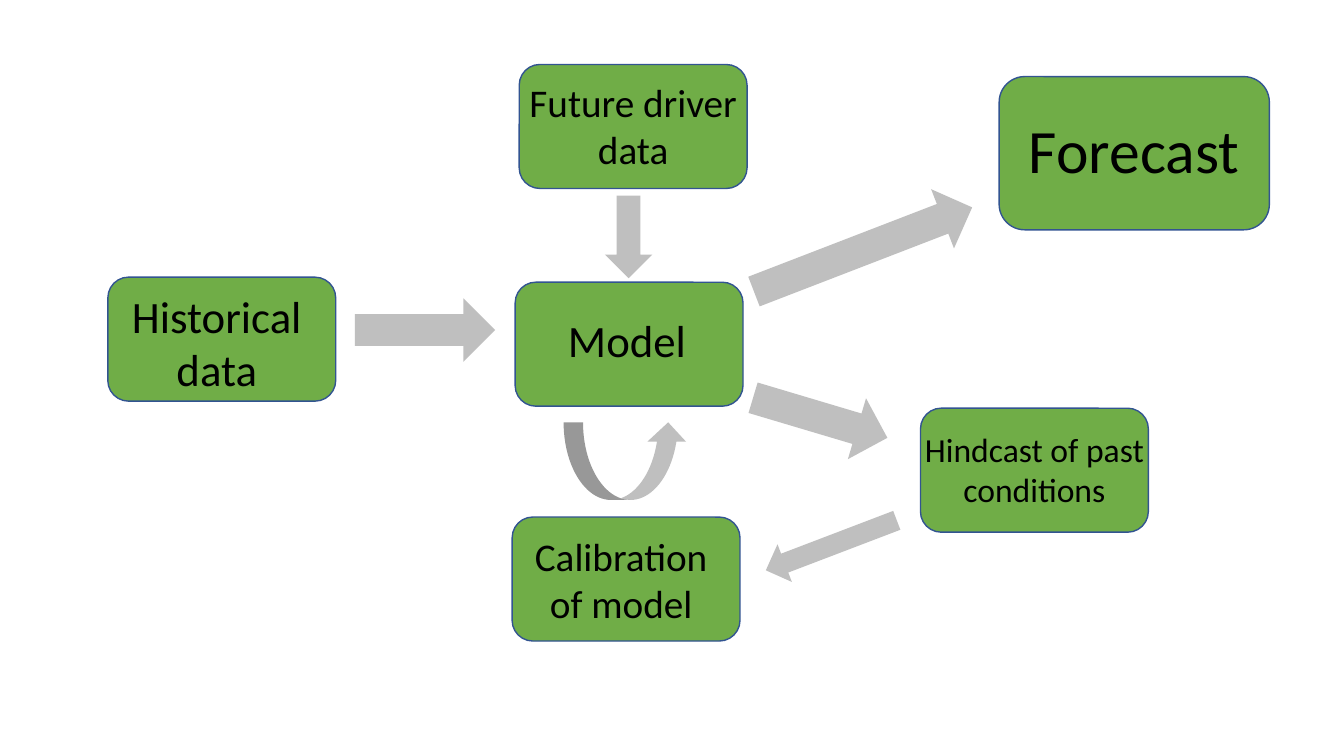
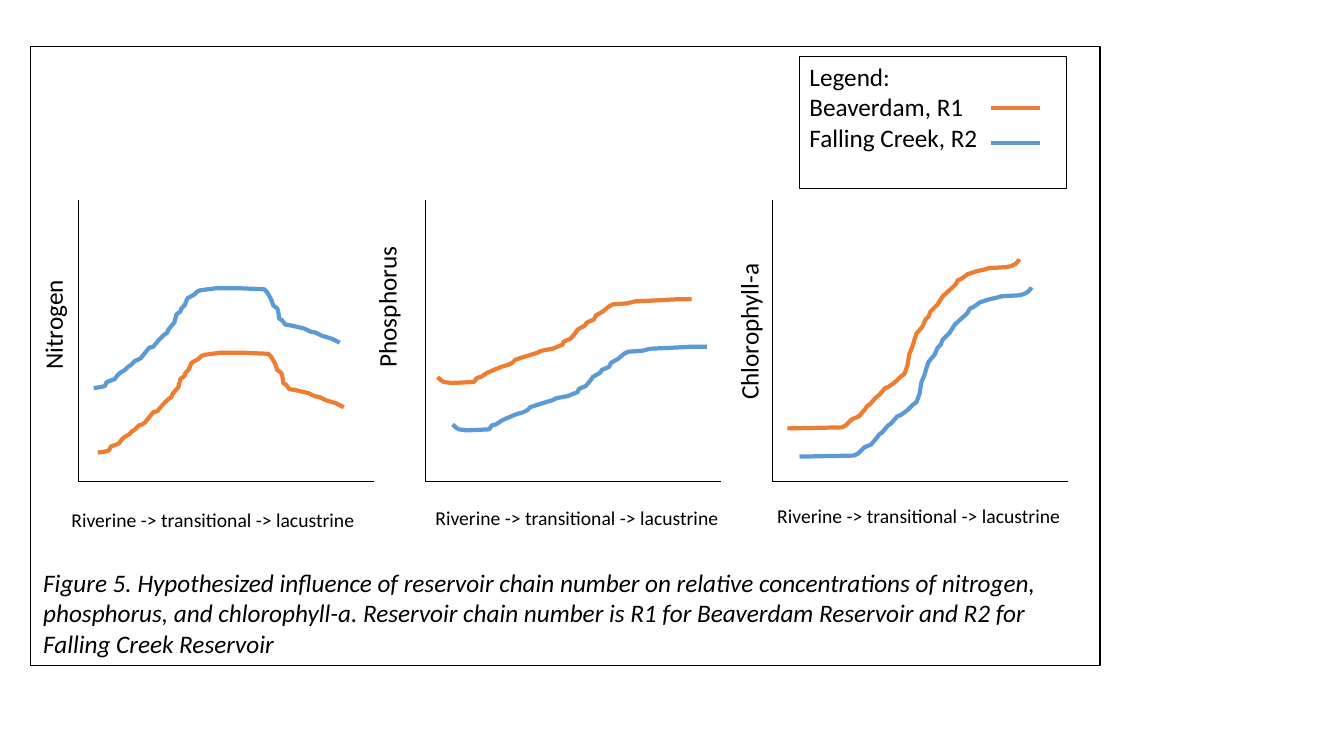
from lxml.etree import SubElement
from pptx import Presentation
from pptx.dml.color import RGBColor
from pptx.enum.shapes import MSO_CONNECTOR, MSO_SHAPE
from pptx.enum.text import MSO_ANCHOR, PP_ALIGN
from pptx.oxml.ns import qn
from pptx.util import Pt

# Shared look; one px is a hundredth of an inch
SCALE = 9144
FONT = "Calibri"
BLACK, WHITE = "000000", "FFFFFF"
GREEN, BOX_EDGE, ARROW_GREY = "70AD47", "325491", "BFBFBF"
BEAVERDAM, FALLING_CREEK = "ED7D31", "5B9BD5"

# Curve outlines, measured from the top left of each curve
NITROGEN = [
    (0, 99), (7, 98), (11, 97), (13, 93), (21, 90), (23, 87), (26, 84), (31, 81),
    (34, 78), (37, 76), (41, 72), (44, 71), (47, 69), (55, 59), (59, 58), (64, 52),
    (67, 49), (70, 46), (73, 44), (74, 41), (80, 34), (82, 26), (86, 23), (87, 20),
    (90, 17), (93, 10), (100, 6), (103, 3), (106, 2), (121, 0), (145, 0), (169, 1),
    (172, 4), (176, 11), (178, 17), (182, 20), (183, 23), (184, 30), (187, 32),
    (190, 36), (196, 37), (209, 40), (215, 43), (220, 44), (226, 47), (236, 50),
    (240, 52), (244, 54),
]
PHOSPHORUS = [
    (0, 77), (3, 80), (6, 82), (14, 83), (36, 82), (39, 78), (43, 77), (49, 73),
    (56, 70), (63, 67), (70, 65), (74, 63), (77, 60), (86, 57), (99, 53), (103, 51),
    (114, 49), (124, 45), (125, 42), (132, 39), (137, 33), (139, 30), (146, 26),
    (148, 23), (155, 20), (157, 16), (164, 12), (170, 7), (174, 5), (188, 4),
    (196, 2), (218, 1), (236, 0), (252, 0),
]
CHLOROPHYLL = [
    (0, 168), (54, 167), (58, 165), (64, 159), (71, 156), (77, 149), (79, 146),
    (82, 144), (88, 137), (91, 135), (97, 128), (100, 127), (107, 122), (112, 117),
    (116, 114), (119, 106), (121, 94), (124, 87), (126, 80), (128, 74), (134, 67),
    (137, 60), (140, 57), (142, 52), (149, 45), (154, 37), (164, 28), (167, 25),
    (169, 21), (172, 20), (179, 15), (188, 12), (197, 10), (200, 9), (217, 8),
    (222, 7), (226, 5), (229, 2), (230, 0),
]


def px(*lengths):
    return [round(length * SCALE) for length in lengths]


def color(value):
    return RGBColor.from_string(value)


def style_shape(shape, fill=None, line=None, width=1):
    shape.shadow.inherit = False
    if fill:
        shape.fill.solid()
        shape.fill.fore_color.rgb = color(fill)
    else:
        shape.fill.background()
    if line:
        shape.line.color.rgb = color(line)
        shape.line.width = Pt(width)
    else:
        shape.line.fill.background()


def add_preset(slide, kind, box, fill=None, line=None, width=1, rotation=0):
    shape = slide.shapes.add_shape(kind, *px(*box))
    style_shape(shape, fill, line, width)
    shape.rotation = rotation
    return shape


def add_run(paragraph, text, size, italic=False):
    run = paragraph.add_run()
    run.text = text
    run.font.name = FONT
    run.font.size = Pt(size)
    run.font.italic = italic
    run.font.color.rgb = color(BLACK)


def add_label(slide, box, text, size, italic=False, rotation=0):
    label = slide.shapes.add_textbox(*px(*box))
    label.rotation = rotation
    label.text_frame.word_wrap = True
    add_run(label.text_frame.paragraphs[0], text, size, italic)


def add_line(slide, start, end, line, width):
    connector = slide.shapes.add_connector(MSO_CONNECTOR.STRAIGHT, *px(*start, *end))
    connector.line.color.rgb = color(line)
    connector.line.width = Pt(width)
    SubElement(connector._element.spPr, qn("a:effectLst"))


def add_curve(slide, left, top, points, line):
    placed = [(left + x, top + y) for x, y in points]
    builder = slide.shapes.build_freeform(*placed[0], scale=SCALE)
    builder.add_line_segments(placed[1:], close=False)
    style_shape(builder.convert_to_shape(), line=line, width=3)


def add_step(slide, box, lines, size, shift=(0, 0)):
    """Green box whose centred text is nudged by shift."""
    step = add_preset(slide, MSO_SHAPE.ROUNDED_RECTANGLE, box, GREEN, BOX_EDGE)
    frame = step.text_frame
    frame.word_wrap = False
    frame.vertical_anchor = MSO_ANCHOR.MIDDLE
    across, down = shift
    frame.margin_left, frame.margin_right = px(max(0, 2 * across), max(0, -2 * across))
    frame.margin_top, frame.margin_bottom = px(max(0, 2 * down), max(0, -2 * down))
    paragraph = frame.paragraphs[0]
    paragraph.alignment = PP_ALIGN.CENTER
    for index, line in enumerate(lines):
        if index:
            paragraph.add_line_break()
        add_run(paragraph, line, size)


def add_panel(slide, left, top, name, name_at, caption_at, points, curves):
    """Axes, two labels and two curves, all measured from the panel's top left."""
    width, height = 293, 280
    corner = (left, top + height)
    add_line(slide, (left, top), corner, BLACK, 0.5)
    add_line(slide, corner, (left + width, top + height), BLACK, 0.5)
    name_x, name_y = name_at
    add_label(slide, (left + name_x, top + name_y, 287, 40), name, 18, rotation=270)
    caption_x, caption_y = caption_at
    add_label(slide, (left + caption_x, top + caption_y, 311, 34),
              "Riverine -> transitional -> lacustrine", 14)
    for line, (x, y) in curves.items():
        add_curve(slide, left + x, top + y, points, line)


def add_legend(slide, left, top):
    legend = add_preset(slide, MSO_SHAPE.RECTANGLE, (left, top, 265, 131),
                        line=BLACK, width=0.75)
    frame = legend.text_frame
    frame.word_wrap = True
    frame.vertical_anchor = MSO_ANCHOR.TOP
    for index, text in enumerate(["Legend:", "Beaverdam, R1", "Falling Creek, R2"]):
        paragraph = frame.add_paragraph() if index else frame.paragraphs[0]
        paragraph.alignment = PP_ALIGN.LEFT
        add_run(paragraph, text, 18)
    for line, y in [(BEAVERDAM, 51), (FALLING_CREEK, 86)]:
        add_line(slide, (left + 190, top + y), (left + 239, top + y), line, 3)


def build_model_slide(slide):
    # Steps
    width, height = 226, 123
    add_step(slide, (107, 275, width, height), ["Historical", "data"], 32, (-5, 3))
    add_step(slide, (511, 280, width, height), ["Model"], 32, (-2, -5))
    add_step(slide, (508, 513, width, height), ["Calibration", "of model"], 28, (-5, 0))
    add_step(slide, (913, 405, width, height), ["Hindcast of past", "conditions"], 24, (0, -1))
    add_step(slide, (515, 64, width, height), ["Future driver", "data"], 28, (0, -1))
    add_step(slide, (991, 76, 268, 152), ["Forecast"], 44, (0, -4))

    # Arrows between the steps
    for kind, box, rotation in [
        (MSO_SHAPE.RIGHT_ARROW, (352, 296, 139, 63), 0),
        (MSO_SHAPE.RIGHT_ARROW, (740, 216, 232, 63), 338.9),
        (MSO_SHAPE.RIGHT_ARROW, (744, 383, 139, 63), 16.6),
        (MSO_SHAPE.RIGHT_ARROW, (755, 521, 139, 40), 159.1),
        (MSO_SHAPE.DOWN_ARROW, (600, 194, 47, 82), 0),
        (MSO_SHAPE.CURVED_UP_ARROW, (559, 419, 123, 77), 0),
    ]:
        add_preset(slide, kind, box, ARROW_GREY, rotation=rotation)


def build_hypothesis_slide(slide):
    # Frame, legend and caption
    add_preset(slide, MSO_SHAPE.RECTANGLE, (30, 46, 1061, 614), WHITE, BLACK)
    add_legend(slide, 793, 56)
    add_label(slide, (33, 558, 1058, 101),
              "Figure 5. Hypothesized influence of reservoir chain number on relative "
              "concentrations of nitrogen, phosphorus, and chlorophyll-a. Reservoir chain "
              "number is R1 for Beaverdam Reservoir and R2 for Falling Creek Reservoir",
              18, italic=True)

    # Three panels at an equal pitch
    panels = [
        ("Nitrogen", (-169, 15), (-17, 301), NITROGEN,
         {BEAVERDAM: (19, 152), FALLING_CREEK: (15, 88)}),
        ("Phosphorus", (-182, 13), (0, 299), PHOSPHORUS,
         {BEAVERDAM: (12, 99), FALLING_CREEK: (27, 146)}),
        ("Chlorophyll-a", (-167, 45), (-5, 297), CHLOROPHYLL,
         {BEAVERDAM: (15, 59), FALLING_CREEK: (27, 87)}),
    ]
    for index, panel in enumerate(panels):
        add_panel(slide, 78 + 344 * index, 198, *panel)


def main():
    presentation = Presentation()
    presentation.slide_width, presentation.slide_height = px(1333, 750)
    blank = presentation.slide_layouts[6]
    for build in (build_model_slide, build_hypothesis_slide):
        build(presentation.slides.add_slide(blank))
    presentation.save("out.pptx")


if __name__ == "__main__":
    main()
